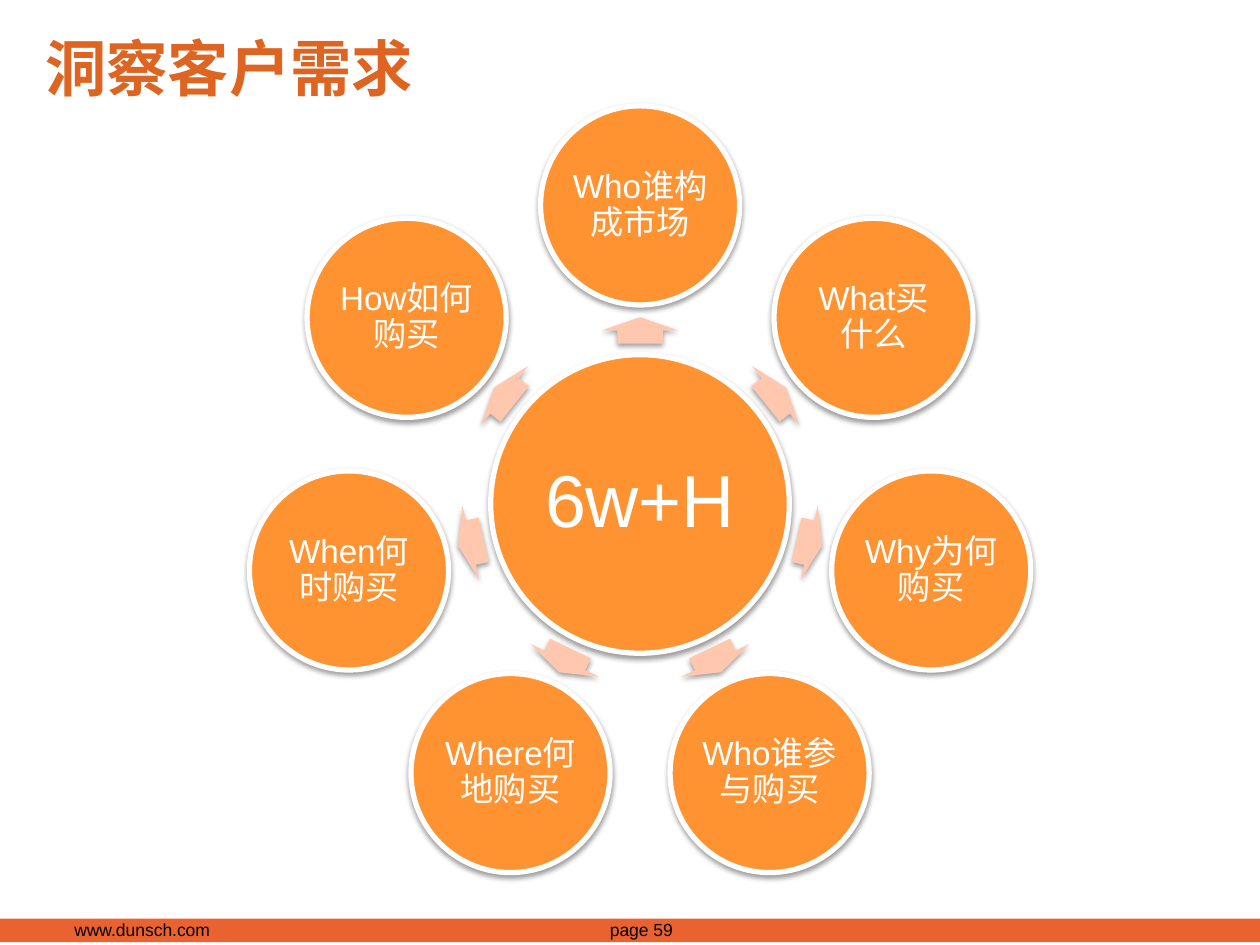
import math

import lxml.etree
import pptx
import pptx.dml.color
import pptx.enum.shapes
import pptx.enum.text
import pptx.oxml.ns
import pptx.util

RGBColor = pptx.dml.color.RGBColor
Shape = pptx.enum.shapes.MSO_SHAPE
Align = pptx.enum.text.PP_ALIGN
Anchor = pptx.enum.text.MSO_ANCHOR
Inches = pptx.util.Inches
Pt = pptx.util.Pt

WIDTH, HEIGHT = 10, 7.5
ORANGE = RGBColor(0xFF, 0x93, 0x32)
PEACH = RGBColor(0xFF, 0xC8, 0xAE)
RUST = RGBColor(0xDE, 0x64, 0x22)
BAR = RGBColor(0xEA, 0x62, 0x2F)
WHITE = RGBColor(0xFF, 0xFF, 0xFF)
BLACK = RGBColor(0x00, 0x00, 0x00)

TITLE_FONT = {"name": "Roboto", "size": Pt(35), "bold": True}
HUB_FONT = {"name": "Arial", "size": Pt(42)}
NODE_FONT = {"name": "Arial", "size": Pt(19)}
FOOTER_FONT = {"name": "Arial", "size": Pt(10)}

QUESTIONS = ["Who谁构成市场", "What买什么", "Why为何购买", "Who谁参与购买",
             "Where何地购买", "When何时购买", "How如何购买"]


def write(shape, text, font, color, align, margins, anchor=Anchor.MIDDLE, spacing=1.0):
    """Put one formatted paragraph into a shape."""
    frame = shape.text_frame
    across, down = (Inches(margin) for margin in margins)
    layout = {"word_wrap": True, "vertical_anchor": anchor, "margin_left": across,
              "margin_right": across, "margin_top": down, "margin_bottom": down}
    for name, value in layout.items():
        setattr(frame, name, value)
    para = frame.paragraphs[0]
    para.alignment = align
    para.line_spacing = spacing
    span = para.add_run()
    span.text = text
    for name, value in font.items():
        setattr(span.font, name, value)
    span.font.color.rgb = color


def add_shadow(shape):
    """Give a shape a soft shadow falling straight down."""
    qn = pptx.oxml.ns.qn
    shape.shadow.inherit = False
    effects = shape.element.spPr.find(qn("a:effectLst"))
    outer = lxml.etree.SubElement(effects, qn("a:outerShdw"), blurRad=str(Pt(3.1)),
                                  dist=str(Pt(1.6)), dir="5400000", rotWithShape="0")
    color = lxml.etree.SubElement(outer, qn("a:srgbClr"), val="000000")
    lxml.etree.SubElement(color, qn("a:alpha"), val="38000")


def add_centred(page, kind, centre, size, fill):
    """Add a filled, shadowed shape around a centre point."""
    (x, y), (width, height) = centre, size
    shape = page.shapes.add_shape(kind, Inches(x - width / 2), Inches(y - height / 2),
                                  Inches(width), Inches(height))
    shape.fill.solid()
    shape.fill.fore_color.rgb = fill
    shape.line.fill.background()
    add_shadow(shape)
    return shape


def add_circle(page, centre, diameter, text, font, margin):
    """Add a labelled circle with a white rim."""
    circle = add_centred(page, Shape.OVAL, centre, (diameter, diameter), ORANGE)
    circle.line.color.rgb = WHITE
    circle.line.width = Pt(3)
    write(circle, text, font, WHITE, Align.CENTER, (margin, margin), spacing=0.9)


def add_text(page, box, *style):
    """Add a text box with one paragraph."""
    write(page.shapes.add_textbox(*map(Inches, box)), *style)


def add_title(page, box):
    """Place the slide title."""
    add_text(page, box, "洞察客户需求", TITLE_FONT, RUST, Align.LEFT, (0.09, 0.04))


def add_wheel(page, box):
    """Place the hub and its ring of questions in a square box."""
    left, top, side, _ = box
    middle = (left + side / 2, top + side / 2)

    def orbit(radius, degrees):
        """Return the point at an angle around the hub."""
        angle = math.radians(degrees)
        return (middle[0] + radius * side * math.cos(angle),
                middle[1] + radius * side * math.sin(angle))

    add_circle(page, middle, 0.375 * side, "6w+H", HUB_FONT, 0.06)
    for index, question in enumerate(QUESTIONS):
        degrees = 360 * index / len(QUESTIONS) - 90
        arrow = add_centred(page, Shape.RIGHT_ARROW, orbit(0.218, degrees),
                            (0.033 * side, 0.095 * side), PEACH)
        arrow.adjustments[0] = 0.6
        arrow.adjustments[1] = 0.5
        arrow.rotation = degrees % 360
        add_circle(page, orbit(0.375, degrees), 0.25 * side, question, NODE_FONT, 0.02)


def add_footer(page, box):
    """Place the coloured bar with the address and page number."""
    left, top, width, height = box
    bar = page.shapes.add_shape(Shape.RECTANGLE, *map(Inches, box))
    bar.shadow.inherit = False
    bar.fill.solid()
    bar.fill.fore_color.rgb = BAR
    bar.line.fill.background()
    entries = [("page 59", 0.463, 0.071, Align.RIGHT),
               ("www.dunsch.com", 0.059, 0.134, Align.LEFT)]
    for text, start, share, align in entries:
        add_text(page, (left + start * width, top, share * width, height),
                 text, FOOTER_FONT, BLACK, align, (0, 0), Anchor.TOP)


def main():
    """Build and save the slide."""
    deck = pptx.Presentation()
    deck.slide_width, deck.slide_height = Inches(WIDTH), Inches(HEIGHT)
    page = deck.slides.add_slide(deck.slide_layouts[6])
    add_footer(page, (0, 0.972 * HEIGHT, WIDTH, 0.025 * HEIGHT))
    add_title(page, (0.027 * WIDTH, 0.007 * HEIGHT, 0.937 * WIDTH, 0.127 * HEIGHT))
    add_wheel(page, (0.192 * WIDTH, 0.112 * HEIGHT, 0.632 * WIDTH, 0.632 * WIDTH))
    deck.save("out.pptx")


if __name__ == "__main__":
    main()
